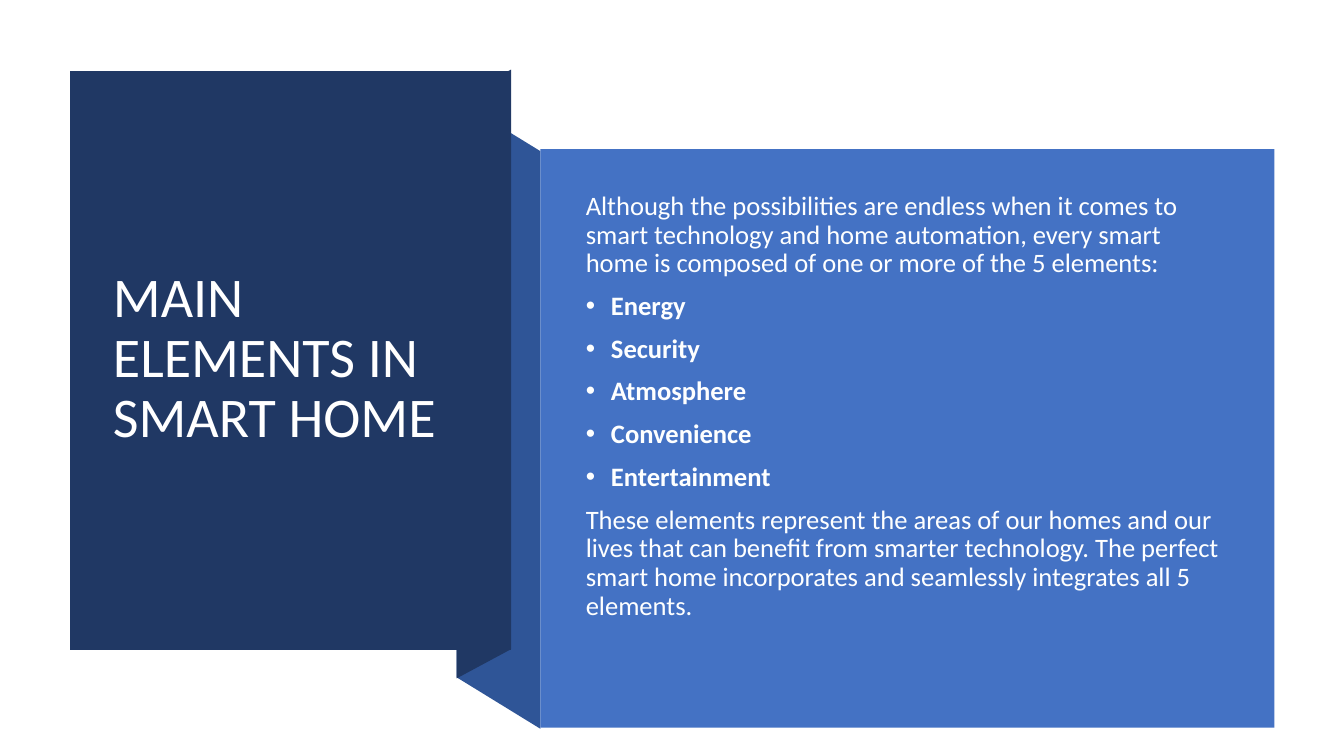
import pptx
import pptx.dml.color
import pptx.enum.shapes
import pptx.enum.text
import pptx.util
from dataclasses import dataclass

TITLE = "MAIN ELEMENTS IN SMART HOME"
INTRODUCTION = (
    "Although the possibilities are endless when it comes to smart technology "
    "and home automation, every smart home is composed of one or more of the 5 elements:"
)
ELEMENTS = ["Energy", "Security", "Atmosphere", "Convenience", "Entertainment"]
CONCLUSION = (
    "These elements represent the areas of our homes and our lives that can benefit "
    "from smarter technology. The perfect smart home incorporates and seamlessly "
    "integrates all 5 elements."
)


@dataclass(frozen=True)
class Theme:
    font: str = "Calibri"
    title_size: int = 40
    body_size: int = 19
    line_spacing: float = 0.9
    space_before: int = 10
    navy: str = "203864"
    fold: str = "2F5597"
    panel: str = "4472C4"
    title_text: str = "FFFFFF"
    body_text: str = "FEFFFF"


THEME = Theme()
WIDTH, HEIGHT = 13.33, 7.5
MARGIN = 0.69
TITLE_RIGHT, TITLE_BOTTOM = 5.07, 6.45
FOLD_LEFT, PANEL_LEFT = 4.53, 5.36
PANEL_TOP, PANEL_BOTTOM = 1.48, 7.22
BULLET_INDENT = 0.25
BODY_BOTTOM_INSET = 0.48


def inches(*lengths):
    return [pptx.util.Inches(length) for length in lengths]


def color(code):
    return pptx.dml.color.RGBColor.from_string(code)


def paint(shape, code):
    shape.shadow.inherit = False
    shape.fill.solid()
    shape.fill.fore_color.rgb = color(code)
    shape.line.fill.background()


def add_polygon(slide, points, code):
    corners = [inches(*point) for point in points]
    builder = slide.shapes.build_freeform(*corners[0])
    builder.add_line_segments(corners[1:], close=True)
    paint(builder.convert_to_shape(), code)


def place(slide, placeholder, box):
    placeholder.left, placeholder.top, placeholder.width, placeholder.height = inches(*box)
    slide.shapes.element.append(placeholder.element)
    frame = placeholder.text_frame
    frame.word_wrap = True
    frame.auto_size = pptx.enum.text.MSO_AUTO_SIZE.NONE
    frame.vertical_anchor = pptx.enum.text.MSO_ANCHOR.MIDDLE
    return frame


def write(paragraph, text, size, code, bold=False):
    paragraph.alignment = pptx.enum.text.PP_ALIGN.LEFT
    paragraph.line_spacing = THEME.line_spacing
    run = paragraph.add_run()
    run.text = text
    run.font.name = THEME.font
    run.font.size = pptx.util.Pt(size)
    run.font.bold = bold
    run.font.color.rgb = color(code)


def set_bullet(paragraph, bulleted):
    indent = pptx.util.Inches(BULLET_INDENT if bulleted else 0)
    properties = paragraph._p.get_or_add_pPr()
    properties.set("marL", str(indent))
    properties.set("indent", str(-indent))
    tag = "a:buChar" if bulleted else "a:buNone"
    bullet = pptx.oxml.xmlchemy.OxmlElement(tag)
    if bulleted:
        bullet.set("char", "•")
    properties.append(bullet)


def main():
    presentation = pptx.Presentation()
    presentation.slide_width, presentation.slide_height = inches(WIDTH, HEIGHT)
    slide = presentation.slides.add_slide(presentation.slide_layouts[1])

    add_polygon(slide, [(PANEL_LEFT, 7.23), (FOLD_LEFT, 6.72),
                        (FOLD_LEFT, 0.99), (PANEL_LEFT, 1.5)], THEME.fold)
    add_polygon(slide, [(TITLE_RIGHT, 6.44), (FOLD_LEFT, 6.73),
                        (FOLD_LEFT, 0.98), (TITLE_RIGHT, MARGIN)], THEME.navy)
    add_polygon(slide, [(MARGIN, 0.7), (TITLE_RIGHT, 0.7),
                        (TITLE_RIGHT, TITLE_BOTTOM), (MARGIN, TITLE_BOTTOM)], THEME.navy)
    panel = slide.shapes.add_shape(
        pptx.enum.shapes.MSO_SHAPE.RECTANGLE,
        *inches(PANEL_LEFT, PANEL_TOP, WIDTH - MARGIN - PANEL_LEFT, PANEL_BOTTOM - PANEL_TOP))
    paint(panel, THEME.panel)

    title_frame = place(slide, slide.shapes.title, (1.02, 1.07, 3.71, 4.99))
    write(title_frame.paragraphs[0], TITLE, THEME.title_size, THEME.title_text)

    body_frame = place(slide, slide.placeholders[1], (5.71, 1.88, 6.51, 4.74))
    body_frame.margin_bottom = pptx.util.Inches(BODY_BOTTOM_INSET)
    lines = [(INTRODUCTION, False), *((name, True) for name in ELEMENTS), (CONCLUSION, False)]
    for index, (text, bulleted) in enumerate(lines):
        paragraph = body_frame.add_paragraph() if index else body_frame.paragraphs[0]
        write(paragraph, text, THEME.body_size, THEME.body_text, bold=bulleted)
        paragraph.space_before = pptx.util.Pt(THEME.space_before)
        set_bullet(paragraph, bulleted)

    presentation.save("out.pptx")


if __name__ == "__main__":
    main()
